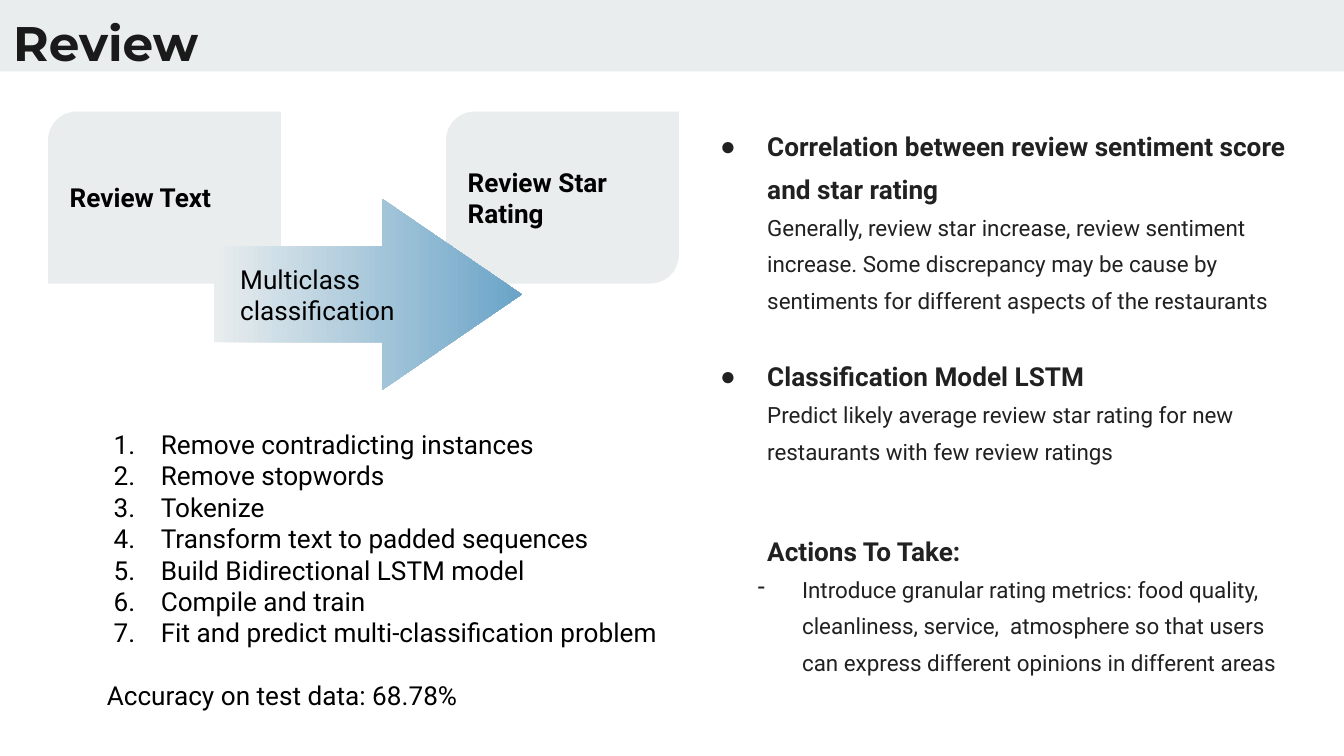
"""Build the Review slide: classification flow, steps, findings and actions."""
from lxml import etree
from pptx import Presentation
from pptx.dml.color import RGBColor
from pptx.enum import shapes, text
from pptx.oxml import ns
from pptx.util import Cm, Pt

BLACK, DARK, PALE = "000000", "212121", "E9EDEE"


def paint(fill, tone):
    fill.solid()
    fill.fore_color.rgb = RGBColor.from_string(tone)


def write(frame, rows, base):
    frame.word_wrap = True
    frame.auto_size = text.MSO_AUTO_SIZE.NONE
    for side in ("left", "right", "top", "bottom"):
        setattr(frame, "margin_" + side, Cm(base.get(side, 0.25)))
    frame.vertical_anchor = base.get("anchor", text.MSO_ANCHOR.TOP)
    for i, (words, extra) in enumerate(rows):
        form = {"size": 14, "bold": False, "font": "Roboto", "tone": BLACK,
                "lines": 1.0, "gap": 0, "left_in": 0, "hang": 0,
                "mark": ("buNone", {})} | base | extra
        para = frame.paragraphs[0] if i == 0 else frame.add_paragraph()
        para.alignment = text.PP_ALIGN.LEFT
        para.line_spacing = form["lines"]
        para.space_before, para.space_after = Pt(form["gap"]), Pt(0)
        props = para._p.get_or_add_pPr()
        props.set("marL", str(Cm(form["left_in"])))
        props.set("indent", str(Cm(-form["hang"])))
        tag, attrs = form["mark"]
        etree.SubElement(props, ns.qn("a:" + tag), attrs)
        run = para.add_run()
        run.text = words
        for name, value in {"name": form["font"], "size": Pt(form["size"]),
                            "bold": form["bold"]}.items():
            setattr(run.font, name, value)
        paint(run.font.fill, form["tone"])


deck = Presentation()
deck.slide_width, deck.slide_height = Cm(25.4), Cm(14.29)
slide = deck.slides.add_slide(deck.slide_layouts[1])
items = slide.shapes
kinds = shapes.MSO_SHAPE
title, body = items.title, items.placeholders[1]

bar = items.add_shape(kinds.RECTANGLE, 0, 0, deck.slide_width, Cm(1.35))
items._spTree.insert(2, bar._element)
cards = []
for left, words in ((0.91, "Review Text"), (8.43, "Review Star Rating")):
    card = items.add_shape(kinds.ROUND_2_DIAG_RECTANGLE,
                           Cm(left), Cm(2.11), Cm(4.4), Cm(3.25))
    write(card.text_frame, [(words, {})],
          {"bold": True, "anchor": text.MSO_ANCHOR.MIDDLE})
    cards.append(card)
arrow = items.add_shape(kinds.RIGHT_ARROW, Cm(4.04), Cm(3.76), Cm(5.82), Cm(3.61))
arrow.adjustments[1] = 0.73
write(arrow.text_frame, [("Multiclass", {}), ("classification", {})],
      {"left": 0.5, "anchor": text.MSO_ANCHOR.MIDDLE})

for shape in (bar, *cards, arrow):
    shape.shadow.inherit = False
    shape.line.fill.background()
    paint(shape.fill, PALE)
arrow.fill.gradient()
arrow.fill.gradient_angle = 0
for stop, place, tone in zip(arrow.fill.gradient_stops, (0, 1), (PALE, "6AA4C8")):
    stop.position = place
    stop.color.rgb = RGBColor.from_string(tone)

steps = items.add_textbox(0, 0, 0, 0)
acts = items.add_textbox(0, 0, 0, 0)
spots = ((title, 0, 0, 21.36, 1.5), (body, 12.98, 1.5, 11.86, 7.67),
         (steps, 1.52, 7.85, 11.68, 5.79), (acts, 13.64, 9.65, 11.2, 4.37))
for box, *spot in spots:
    box.left, box.top, box.width, box.height = map(Cm, spot)

write(title.text_frame, [("Review", {})],
      {"size": 26, "bold": True, "font": "Montserrat", "tone": "1A1A1A"})

head = {"bold": True, "left_in": 1.27, "hang": 0.89,
        "mark": ("buChar", {"char": "●"})}
note = {"size": 12, "left_in": 1.27}
write(body.text_frame, [
    ("Correlation between review sentiment score and star rating", head),
    ("Generally, review star increase, review sentiment increase. Some discrepancy "
     "may be cause by sentiments for different aspects of the restaurants", note),
    ("Classification Model LSTM", head | {"gap": 19}),
    ("Predict likely average review star rating for new restaurants with few "
     "review ratings", note),
], {"tone": DARK, "lines": 1.36, "top": 0.75})

step = {"left_in": 1.27, "hang": 0.89,
        "mark": ("buAutoNum", {"type": "arabicPeriod"})}
names = ("Remove contradicting instances", "Remove stopwords", "Tokenize",
         "Transform text to padded sequences", "Build Bidirectional LSTM model",
         "Compile and train", "Fit and predict multi-classification problem")
write(steps.text_frame, [(name, step) for name in names]
      + [("Accuracy on test data: 68.78%", {"left_in": 0.25, "gap": 16.8})], {})

write(acts.text_frame, [
    ("Actions To Take:", {"bold": True, "left_in": 0.61}),
    ("Introduce granular rating metrics: food quality, cleanliness, service,  "
     "atmosphere so that users can express different opinions in different areas",
     note | {"hang": 0.84, "mark": ("buChar", {"char": "-"})}),
], {"tone": DARK, "lines": 1.36})

deck.save("out.pptx")
